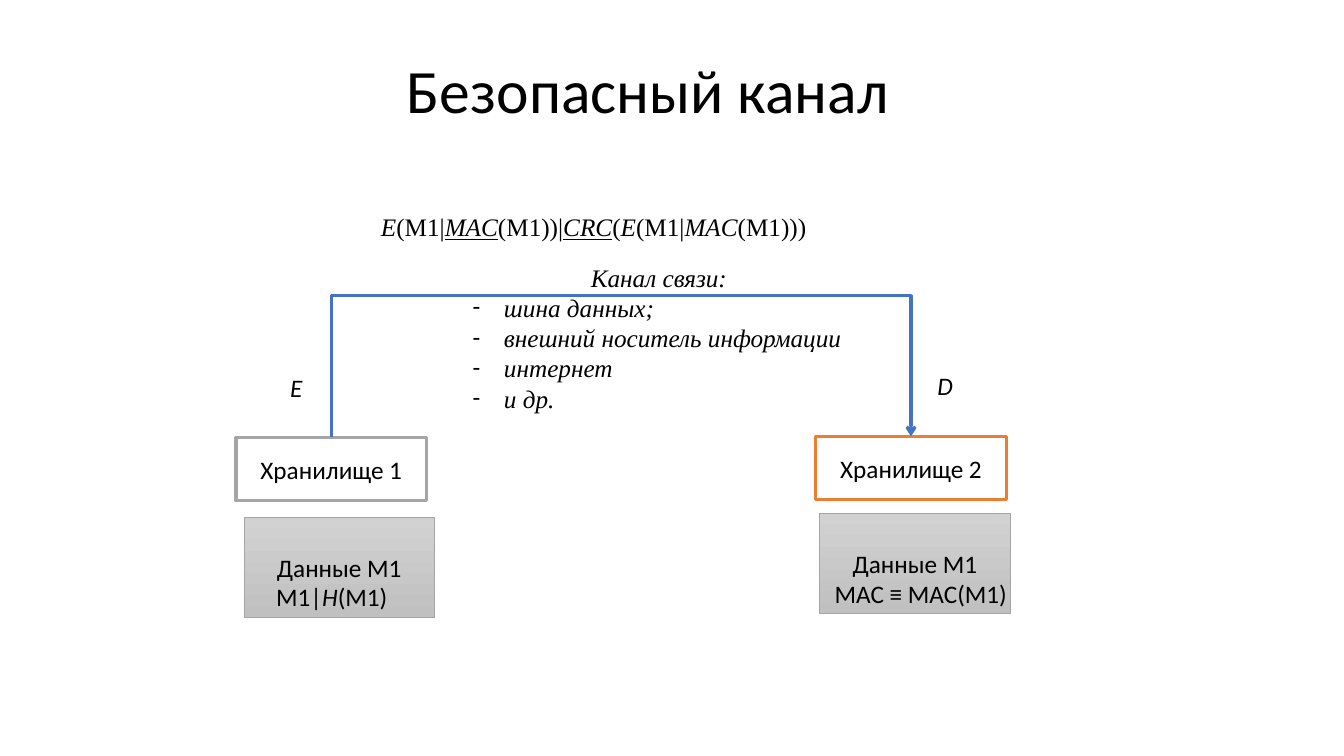
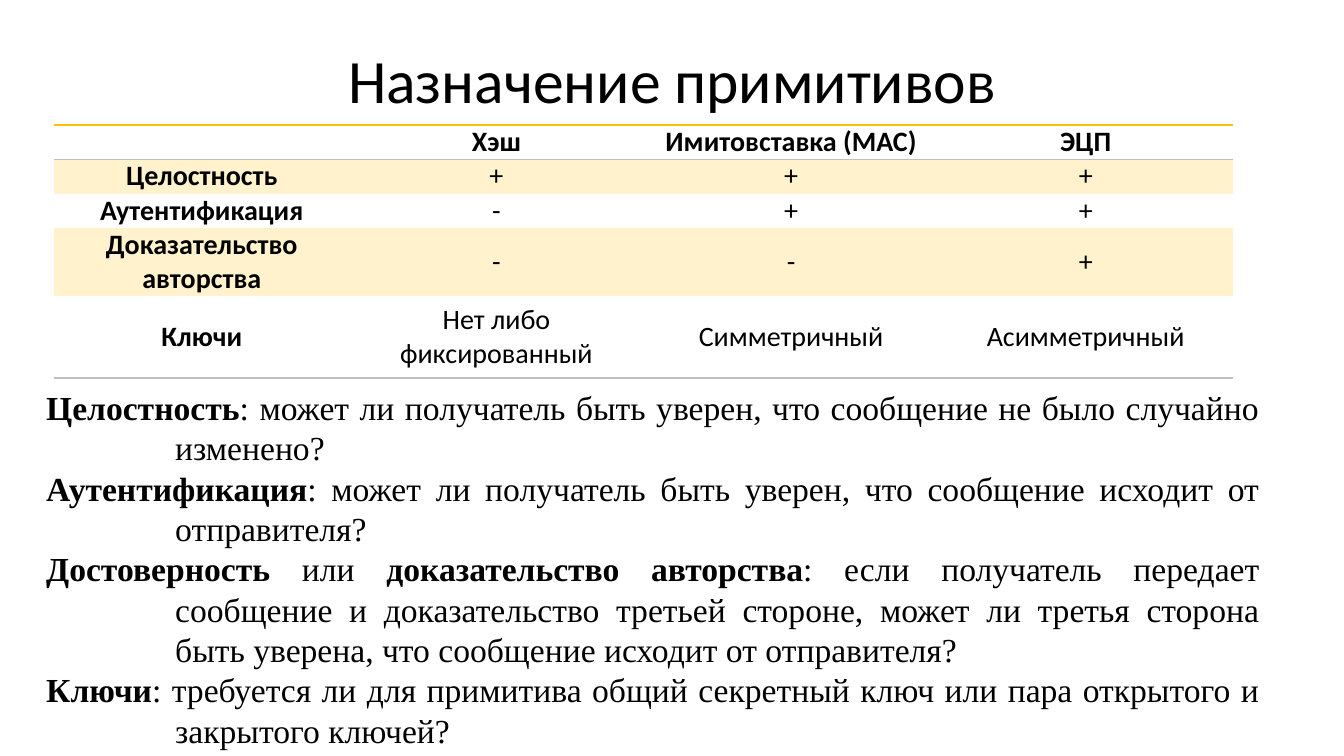
from lxml.etree import SubElement
from pptx import Presentation
from pptx.dml.color import RGBColor
from pptx.enum.shapes import MSO_CONNECTOR, MSO_SHAPE
from pptx.enum.text import MSO_ANCHOR, MSO_AUTO_SIZE, PP_ALIGN
from pptx.oxml.ns import qn
from pptx.util import Inches, Pt

BLACK = RGBColor(0x00, 0x00, 0x00)
WHITE = RGBColor(0xFF, 0xFF, 0xFF)
GRAY = RGBColor(0xA5, 0xA5, 0xA5)
RULE_GRAY = RGBColor(0xBF, 0xBF, 0xBF)
LIGHT_GRAY = RGBColor(0xD2, 0xD2, 0xD2)
MID_GRAY = RGBColor(0xC0, 0xC0, 0xC0)
ORANGE = RGBColor(0xED, 0x7D, 0x31)
BLUE = RGBColor(0x44, 0x72, 0xC4)
GOLD = RGBColor(0xFF, 0xC0, 0x00)
CREAM = RGBColor(0xFF, 0xF2, 0xCC)
SANS, SERIF = "Calibri", "Times New Roman"
PLAIN_TABLE = "{2D5ABB26-0587-4C30-8999-92F81FD0307C}"


class Deck:
    """Holds the shared style and the slide being built."""

    def __init__(self):
        self.prs = Presentation()
        self.prs.slide_width, self.prs.slide_height = Inches(13.33), Inches(7.5)
        self.slide = None

    def new_slide(self, title, box):
        self.slide = self.prs.slides.add_slide(self.prs.slide_layouts[6])
        heading = self.text(box, [[(title, "")]], size=44, align=PP_ALIGN.CENTER, wrap=True)
        heading.vertical_anchor = MSO_ANCHOR.MIDDLE
        heading.paragraphs[0].line_spacing = 0.9

    def add_runs(self, paragraph, runs, size=18, font=SANS, align=PP_ALIGN.LEFT):
        """Each run is (text, flags); flags are any of b, i and u."""
        paragraph.alignment = align
        for words, flags in runs:
            run = paragraph.add_run()
            run.text = words
            run.font.name, run.font.size = font, Pt(size)
            run.font.color.rgb = BLACK
            run.font.bold, run.font.italic = "b" in flags, "i" in flags
            run.font.underline = "u" in flags

    def indent(self, paragraph, hang, bullet=None):
        props = paragraph._p.get_or_add_pPr()
        props.set("marL", str(Inches(hang)))
        props.set("indent", str(-Inches(hang)))
        if bullet:
            SubElement(props, qn("a:buFont")).set("typeface", SANS)
            SubElement(props, qn("a:buChar")).set("char", bullet)

    def text(self, box, lines, wrap=False, **style):
        frame = self.slide.shapes.add_textbox(*map(Inches, box)).text_frame
        frame.word_wrap = wrap
        frame.auto_size = MSO_AUTO_SIZE.NONE if wrap else MSO_AUTO_SIZE.SHAPE_TO_FIT_TEXT
        for number, runs in enumerate(lines):
            paragraph = frame.add_paragraph() if number else frame.paragraphs[0]
            self.add_runs(paragraph, runs, **style)
        return frame

    def box(self, place, label, outline, width, gradient=False):
        block = self.slide.shapes.add_shape(MSO_SHAPE.RECTANGLE, *map(Inches, place))
        block.shadow.inherit = False
        block.line.color.rgb, block.line.width = outline, Pt(width)
        if gradient:
            block.fill.gradient()
            block.fill.gradient_angle = 270
            for stop, color in zip(block.fill.gradient_stops, (LIGHT_GRAY, MID_GRAY)):
                stop.color.rgb = color
        else:
            block.fill.solid()
            block.fill.fore_color.rgb = WHITE
        block.text_frame.vertical_anchor = MSO_ANCHOR.MIDDLE
        self.add_runs(block.text_frame.paragraphs[0], [(label, "")], align=PP_ALIGN.CENTER)
        return block

    def arch(self, source, target, rise):
        """Arrow that leaves the top of source and drops onto the top of target."""
        arrow = self.slide.shapes.add_connector(MSO_CONNECTOR.ELBOW, 0, 0, 0, 0)
        arrow.begin_connect(source, 0)
        arrow.end_connect(target, 0)
        arrow.line.color.rgb, arrow.line.width = BLUE, Pt(2.25)
        # A quarter turn makes the elbow run up, across and down
        span, drop = target.left - source.left, source.top - target.top
        center_x = (source.left + source.width // 2) + span // 2
        center_y = (source.top + target.top) // 2
        arrow.left, arrow.top = center_x - drop // 2, center_y - span // 2
        arrow.width, arrow.height = drop, span
        props = arrow._element.spPr
        for name, value in (("rot", "5400000"), ("flipH", "1"), ("flipV", "1")):
            props.xfrm.set(name, value)
        guide = SubElement(props.find(qn("a:prstGeom")).find(qn("a:avLst")), qn("a:gd"))
        guide.set("name", "adj1")
        guide.set("fmla", f"val {round(Inches(rise) / drop * 100000)}")
        SubElement(arrow.line._get_or_add_ln(), qn("a:tailEnd")).set("type", "arrow")
        SubElement(props, qn("a:effectLst"))

    def rule(self, cell, side, color):
        edge = SubElement(cell._tc.get_or_add_tcPr(), qn(f"a:{side}"), w=str(Pt(1)))
        SubElement(SubElement(edge, qn("a:solidFill")), qn("a:srgbClr")).set("val", str(color))

    def table(self, place, rows, heights):
        grid = self.slide.shapes.add_table(len(rows), len(rows[0]), *map(Inches, place)).table
        grid._tbl.tblPr.find(qn("a:tableStyleId")).text = PLAIN_TABLE
        for r, (values, height) in enumerate(zip(rows, heights)):
            grid.rows[r].height = Inches(height)
            for c, value in enumerate(values):
                cell = grid.cell(r, c)
                cell.margin_left = cell.margin_right = Inches(0.07)
                cell.margin_top = cell.margin_bottom = 0
                cell.vertical_anchor = MSO_ANCHOR.MIDDLE
                if r == 0:
                    self.rule(cell, "lnT", GOLD)
                if r in (0, len(rows) - 1):
                    self.rule(cell, "lnB", RULE_GRAY)
                if r % 2:
                    cell.fill.solid()
                    cell.fill.fore_color.rgb = CREAM
                else:
                    cell.fill.background()
                if value:
                    self.add_runs(cell.text_frame.paragraphs[0],
                                  [(value, "b" if r == 0 or c == 0 else "")],
                                  size=20, align=PP_ALIGN.CENTER)


def secure_channel(deck):
    deck.new_slide("Безопасный канал", (1.93, 0.3, 9, 1.25))

    # Storages and the channel between them
    storage_1 = deck.box((2.34, 4.34, 1.89, 0.63), "Хранилище 1", GRAY, 2.25)
    storage_2 = deck.box((8.09, 4.33, 1.89, 0.63), "Хранилище 2", ORANGE, 2.25)
    deck.arch(storage_1, storage_2, rise=1.43)

    # Kinds of channel
    kinds = ["Канал связи:", "шина данных;", "внешний носитель информации",
             "интернет", "и др."]
    channel = deck.text((4.59, 2.55, 3.89, 1.62), [[(kind, "i")] for kind in kinds], font=SERIF)
    channel.paragraphs[0].alignment = PP_ALIGN.CENTER
    for paragraph in channel.paragraphs[1:]:
        deck.indent(paragraph, 0.31, "-")

    # Message formula
    formula = [("E", "i"), ("(M1|", ""), ("MAC", "iu"), ("(M1))|", ""), ("CRC", "iu"),
               ("(", ""), ("E", "i"), ("(M1|", ""), ("MAC", "i"), ("(M1)))", "")]
    deck.text((3.68, 2.05, 4.46, 0.4), [formula], font=SERIF)

    # Stored data
    for left, top in ((2.42, 5.13), (8.13, 5.09)):
        deck.box((left, top, 1.89, 1), "Данные М1", GRAY, 0.5, gradient=True)

    # Labels
    for place, runs in (
        ((2.64, 5.72, 1.32, 0.4), [("M1|", ""), ("H", "i"), ("(M1)", "")]),
        ((8.18, 5.69, 1.94, 0.4), [("MAC ≡ MAC(M1)", "")]),
        ((2.78, 3.64, 0.32, 0.4), [("E", "i")]),
        ((9.2, 3.62, 0.36, 0.4), [("D", "i")]),
    ):
        deck.text(place, [runs])


def primitives(deck):
    deck.new_slide("Назначение примитивов", (0.92, 0.1, 11.5, 1.45))

    # Comparison
    deck.table((0.54, 1.24, 11.69, 2.51), [
        ("", "Хэш", "Имитовставка (MAC)", "ЭЦП"),
        ("Целостность", "+", "+", "+"),
        ("Аутентификация", "-", "+", "+"),
        ("Доказательство авторства", "-", "-", "+"),
        ("Ключи", "Нет либо фиксированный", "Симметричный", "Асимметричный"),
    ], heights=(0.34, 0.34, 0.34, 0.68, 0.81))

    # Definitions
    definitions = deck.text((0.36, 3.79, 12.23, 3.74), [
        [("Целостность", "b"),
         (": может ли получатель быть уверен, что сообщение не было случайно изменено?", "")],
        [("Аутентификация", "b"),
         (": может ли получатель быть уверен, что сообщение исходит от отправителя?", "")],
        [("Достоверность", "b"), (" или ", ""), ("доказательство авторства", "b"),
         (": если получатель передает сообщение и доказательство третьей стороне, "
          "может ли третья сторона быть уверена, что сообщение исходит от отправителя?", "")],
        [("Ключи", "b"),
         (": требуется ли для примитива общий секретный ключ или пара открытого "
          "и закрытого ключей?", "")],
    ], wrap=True, size=24, font=SERIF, align=PP_ALIGN.JUSTIFY)
    for paragraph in definitions.paragraphs:
        deck.indent(paragraph, 1.28)


def main():
    deck = Deck()
    secure_channel(deck)
    primitives(deck)
    deck.prs.save("out.pptx")


if __name__ == "__main__":
    main()
